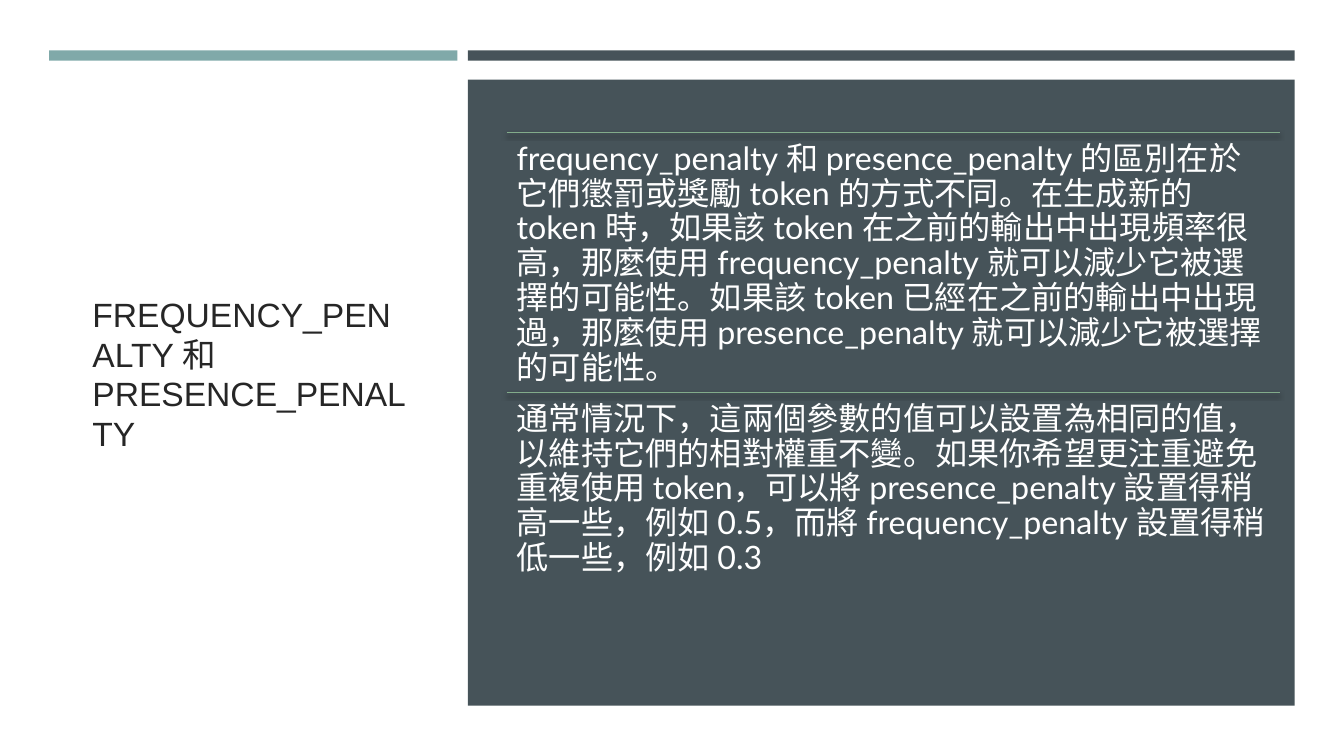
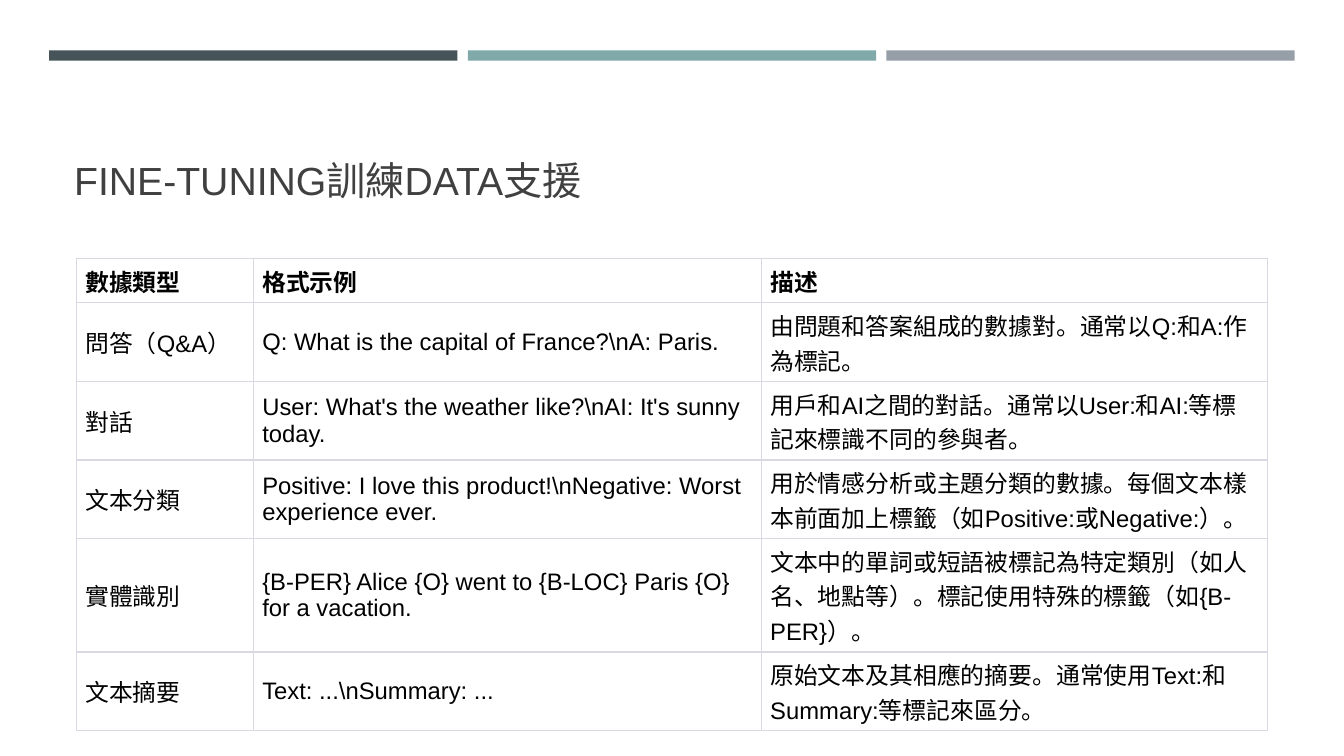
from lxml.etree import SubElement
from pptx import Presentation
from pptx.dml.color import RGBColor
from pptx.enum.shapes import MSO_CONNECTOR as Connector
from pptx.enum.shapes import MSO_SHAPE as Shape
from pptx.enum.text import MSO_ANCHOR as Anchor
from pptx.oxml import parse_xml
from pptx.oxml.ns import nsdecls, qn
from pptx.util import Cm, Pt


class Theme:
    slate = RGBColor.from_string("465359")
    teal = RGBColor.from_string("80A9A9")
    gray = RGBColor.from_string("969FA7")
    green = RGBColor.from_string("82AB8A")
    white = RGBColor.from_string("FFFFFF")
    black = RGBColor.from_string("000000")
    side_title = RGBColor.from_string("262626")
    top_title = RGBColor.from_string("404040")
    border = "D9D9E3"
    heading_font = "Arial"
    body_font = "Lato"
    side_title_size = Pt(24)
    side_title_leading = Pt(28.5)
    top_title_size = Pt(28)
    body_size = Pt(23)
    body_leading = Pt(24.9)
    table_size = Pt(17)


def add_block(slide, left, top, width, height, color):
    shape = slide.shapes.add_shape(Shape.RECTANGLE, Cm(left), Cm(top), Cm(width), Cm(height))
    shape.shadow.inherit = False
    shape.fill.solid()
    shape.fill.fore_color.rgb = color
    shape.line.fill.background()


def add_text(slide, box, text, font_name, size, color, anchor, leading=None):
    frame = slide.shapes.add_textbox(*map(Cm, box)).text_frame
    frame.word_wrap = True
    frame.vertical_anchor = anchor
    paragraph = frame.paragraphs[0]
    paragraph.text = text
    paragraph.line_spacing = leading
    paragraph.font.name = font_name
    paragraph.font.size = size
    paragraph.font.color.rgb = color


presentation = Presentation()
presentation.slide_width = Cm(33.87)
presentation.slide_height = Cm(19.05)
blank = presentation.slide_layouts[6]

band_left, band_top, band_height = 1.24, 1.27, 0.26
band_width, band_gap = 10.29, 0.26
band_step = band_width + band_gap
panel_left = band_left + band_step
panel_width = 2 * band_width + band_gap

slide = presentation.slides.add_slide(blank)
add_text(slide, (2.08, 2.88, 8.48, 13.08), "FREQUENCY_PENALTY 和 PRESENCE_PENALTY",
         Theme.heading_font, Theme.side_title_size, Theme.side_title, Anchor.MIDDLE,
         Theme.side_title_leading)
add_block(slide, band_left, band_top, band_width, band_height, Theme.teal)
add_block(slide, panel_left, band_top, panel_width, band_height, Theme.slate)
add_block(slide, panel_left, 2.01, panel_width, 15.77, Theme.slate)

explanations = [
    "frequency_penalty 和 presence_penalty 的區別在於它們懲罰或獎勵 token 的方式不同。"
    "在生成新的 token 時，如果該 token 在之前的輸出中出現頻率很高，"
    "那麼使用 frequency_penalty 就可以減少它被選擇的可能性。"
    "如果該 token 已經在之前的輸出中出現過，"
    "那麼使用 presence_penalty 就可以減少它被選擇的可能性。",
    "通常情況下，這兩個參數的值可以設置為相同的值，以維持它們的相對權重不變。"
    "如果你希望更注重避免重複使用 token，可以將 presence_penalty 設置得稍高一些，"
    "例如 0.5，而將 frequency_penalty 設置得稍低一些，例如 0.3",
]
text_left, text_top, text_width, text_height = 12.77, 3.34, 19.48, 6.55
text_drop = 0.11
for index, explanation in enumerate(explanations):
    top = text_top + index * text_height
    rule = slide.shapes.add_connector(
        Connector.STRAIGHT, Cm(text_left), Cm(top), Cm(text_left + text_width), Cm(top))
    rule.line.color.rgb = Theme.green
    rule.line.width = Pt(1)
    rule.element.spPr.append(parse_xml(
        f'<a:effectLst {nsdecls("a")}>'
        f'<a:outerShdw blurRad="{Pt(3)}" dist="{Pt(2)}" dir="5400000" rotWithShape="0">'
        f'<a:srgbClr val="{Theme.black}"><a:alpha val="55000"/></a:srgbClr>'
        '</a:outerShdw></a:effectLst>'))
    add_text(slide, (text_left, top + text_drop, text_width, text_height), explanation,
             Theme.body_font, Theme.body_size, Theme.white, Anchor.TOP, Theme.body_leading)

slide = presentation.slides.add_slide(blank)
for index, color in enumerate((Theme.slate, Theme.teal, Theme.gray)):
    add_block(slide, band_left + index * band_step, band_top, band_width, band_height, color)
add_text(slide, (1.62, 1.96, 30.63, 3.3), "FINE-TUNING訓練DATA支援",
         Theme.heading_font, Theme.top_title_size, Theme.top_title, Anchor.BOTTOM)

rows = [
    ("數據類型", "格式示例", "描述"),
    ("問答（Q&A）", r"Q: What is the capital of France?\nA: Paris.",
     "由問題和答案組成的數據對。通常以Q:和A:作為標記。"),
    ("對話", r"User: What's the weather like?\nAI: It's sunny today.",
     "用戶和AI之間的對話。通常以User:和AI:等標記來標識不同的參與者。"),
    ("文本分類", r"Positive: I love this product!\nNegative: Worst experience ever.",
     "用於情感分析或主題分類的數據。每個文本樣本前面加上標籤（如Positive:或Negative:）。"),
    ("實體識別", "{B-PER} Alice {O} went to {B-LOC} Paris {O} for a vacation.",
     "文本中的單詞或短語被標記為特定類別（如人名、地點等）。標記使用特殊的標籤（如{B-PER}）。"),
    ("文本摘要", r"Text: ...\nSummary: ...",
     "原始文本及其相應的摘要。通常使用Text:和Summary:等標記來區分。"),
]
column_widths = (4.46, 12.8, 12.76)
row_heights = (1.11, 1.98, 1.98, 1.98, 2.86, 1.98)
cell_margin = Cm(0.22)
table = slide.shapes.add_table(
    len(rows), len(column_widths), Cm(1.93), Cm(6.52),
    Cm(sum(column_widths)), Cm(sum(row_heights))).table
table.first_row = False
table.horz_banding = False
for column, width in zip(table.columns, column_widths):
    column.width = Cm(width)
for row, height in zip(table.rows, row_heights):
    row.height = Cm(height)

for row_index, texts in enumerate(rows):
    is_header = row_index == 0
    is_last = row_index == len(rows) - 1
    border_widths = {
        "a:lnL": 0.75,
        "a:lnR": 0.75,
        "a:lnT": 0.75 if is_header else 1,
        "a:lnB": 0.75 if is_last else 1,
    }
    for column_index, text in enumerate(texts):
        cell = table.cell(row_index, column_index)
        cell.text = text
        cell.vertical_anchor = Anchor.BOTTOM if is_header else Anchor.MIDDLE
        cell.margin_left = cell.margin_right = cell_margin
        font = cell.text_frame.paragraphs[0].font
        font.name = Theme.heading_font
        font.size = Theme.table_size
        font.bold = is_header
        font.color.rgb = Theme.black
        properties = cell._tc.get_or_add_tcPr()
        for side, width in border_widths.items():
            line = SubElement(properties, qn(side), w=str(Pt(width)))
            fill = SubElement(line, qn("a:solidFill"))
            SubElement(fill, qn("a:srgbClr"), val=Theme.border)
        cell.fill.background()

presentation.save("out.pptx")
